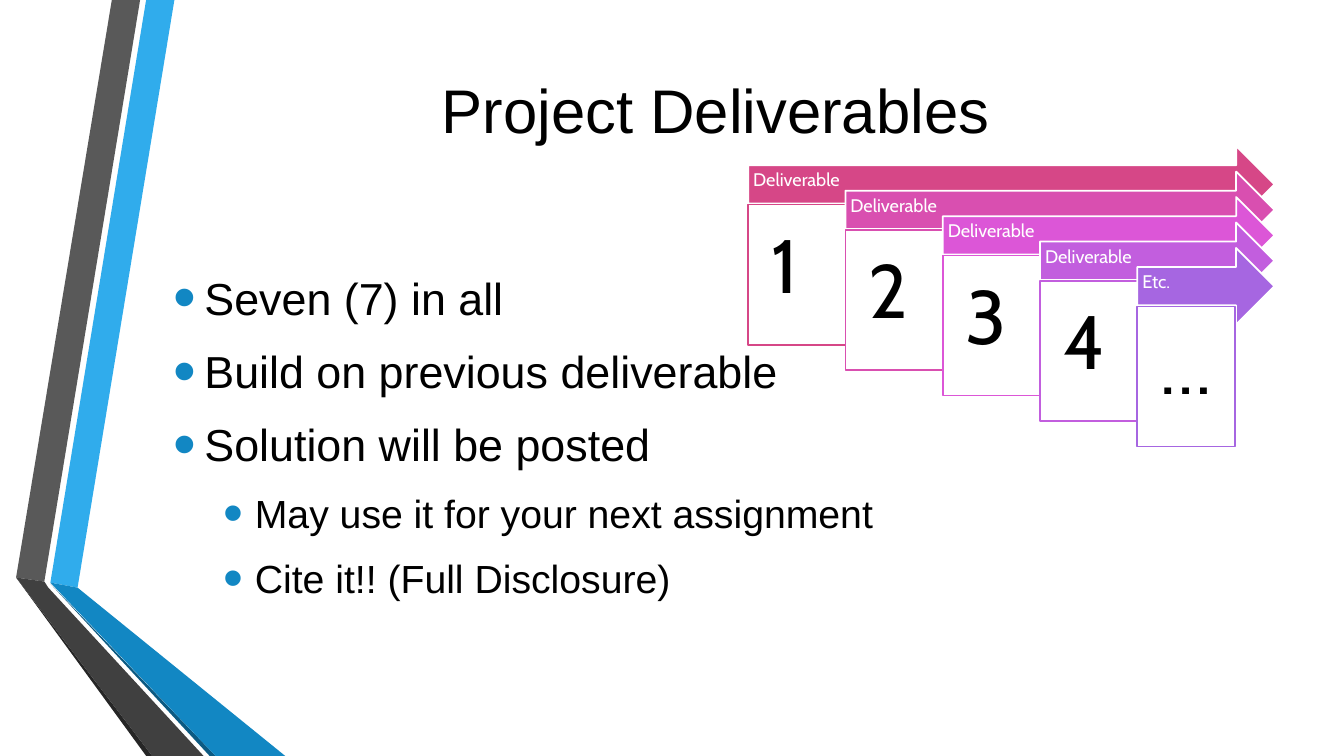
from dataclasses import dataclass

from lxml.etree import SubElement
from pptx import Presentation
from pptx.dml.color import RGBColor
from pptx.enum.shapes import MSO_SHAPE
from pptx.enum.text import MSO_ANCHOR, PP_ALIGN
from pptx.oxml.ns import qn
from pptx.util import Inches, Pt

COLORS = {
    "black": "000000", "white": "FFFFFF", "bullet": "1287C3",
    "sky": "30ACEC", "gray": "595959", "ink": "262626",
    "navy": "0C5A82", "blue": "1287C3", "charcoal": "404040",
    "rose": "D64787", "pink": "D94FB0", "magenta": "DC56D7",
    "orchid": "C25EDE", "violet": "A666E1",
}


@dataclass
class Band:
    color: str
    points: list[tuple[float, float]]


@dataclass
class Deliverable:
    label: str
    number: str
    color: str


@dataclass
class Bullet:
    text: str
    size: int
    indent: float
    before: int


BANDS = [
    Band("sky", [(0.5, 5.78), (0.77, 5.83), (1.73, 0), (1.45, 0)]),
    Band("gray", [(1.39, 0), (1.11, 0), (0.16, 5.73), (0.44, 5.77)]),
    Band("ink", [(0.16, 5.73), (1.45, 7.5), (1.51, 7.5)]),
    Band("navy", [(0.5, 5.79), (2.08, 7.5), (2.14, 7.5)]),
    Band("blue", [(0.5, 5.78), (2.14, 7.5), (2.83, 7.5), (0.77, 5.83)]),
    Band("charcoal", [(2.02, 7.5), (0.48, 5.83), (0.44, 5.77), (0.16, 5.73), (1.51, 7.5)]),
]
BULLETS = [
    Bullet("Seven (7) in all", 32, 0.31, 8),
    Bullet("Build on previous deliverable", 32, 0.31, 8),
    Bullet("Solution will be posted", 32, 0.31, 8),
    Bullet("May use it for your next assignment", 28, 0.81, 7),
    Bullet("Cite it!! (Full Disclosure)", 28, 0.81, 7),
]
DELIVERABLES = [
    Deliverable("Deliverable", "1", "rose"),
    Deliverable("Deliverable", "2", "pink"),
    Deliverable("Deliverable", "3", "magenta"),
    Deliverable("Deliverable", "4", "orchid"),
    Deliverable("Etc.", "…", "violet"),
]
ARROW_TIP = 12.64
SIDES = ("margin_left", "margin_top", "margin_right", "margin_bottom")


def rgb(name: str) -> RGBColor:
    return RGBColor.from_string(COLORS[name])


def apply(target, values: dict) -> None:
    for name, value in values.items():
        setattr(target, name, value)


def paint(sp, fill: str, line: str | None = None) -> None:
    sp.shadow.inherit = False
    sp.fill.solid()
    sp.fill.fore_color.rgb = rgb(fill)
    if line:
        sp.line.color.rgb = rgb(line)
        sp.line.width = Pt(1.25)
    else:
        sp.line.fill.background()


def write(p, text: str, size: int, font: str, color: str = "black", **layout) -> None:
    apply(p, {"alignment": PP_ALIGN.LEFT, **layout})
    r = p.add_run()
    r.text = text
    apply(r.font, {"size": Pt(size), "name": font})
    r.font.color.rgb = rgb(color)


def add_text_box(s, left: float, top: float, width: float, height: float):
    tf = s.shapes.add_textbox(*map(Inches, (left, top, width, height))).text_frame
    apply(tf, {"word_wrap": True, "vertical_anchor": MSO_ANCHOR.MIDDLE})
    return tf


def set_bullet(p, indent: float) -> None:
    pPr = p._p.get_or_add_pPr()
    pPr.set("marL", str(Inches(indent)))
    pPr.set("indent", str(Inches(-0.31)))
    color = SubElement(pPr, qn("a:buClr"))
    SubElement(color, qn("a:srgbClr"), val=COLORS["bullet"])
    SubElement(pPr, qn("a:buSzPct"), val="145000")
    SubElement(pPr, qn("a:buFont"), typeface="Arial")
    SubElement(pPr, qn("a:buChar"), char="•")


def add_band(s, band: Band) -> None:
    points = [(Inches(x), Inches(y)) for x, y in band.points]
    builder = s.shapes.build_freeform(*points[0])
    builder.add_line_segments(points[1:], close=True)
    paint(builder.convert_to_shape(), band.color)


def add_block(s, kind, box: tuple, fill: str, line: str, margins: tuple, anchor):
    sp = s.shapes.add_shape(kind, *map(Inches, box))
    paint(sp, fill, line)
    tf = sp.text_frame
    apply(tf, {"word_wrap": True, "vertical_anchor": anchor})
    apply(tf, dict(zip(SIDES, map(Inches, margins))))
    return tf.paragraphs[0]


def add_deliverable(s, index: int, item: Deliverable) -> None:
    left, top = 7.42 + 0.965 * index, 1.45 + 0.2525 * index
    p = add_block(s, MSO_SHAPE.RIGHT_ARROW, (left, top, ARROW_TIP - left, 0.76),
                  item.color, "white", (0.05, 0.05, 0.28, 0.12), MSO_ANCHOR.MIDDLE)
    write(p, item.label, 13, "Cabin", "white", line_spacing=0.9)
    p = add_block(s, MSO_SHAPE.RECTANGLE, (left, top + 0.58, 0.97, 1.39),
                  "white", item.color, (0.23,) * 4, MSO_ANCHOR.TOP)
    write(p, item.number, 54, "Cabin", line_spacing=0.9)


def main() -> None:
    prs = Presentation()
    apply(prs, {"slide_width": Inches(13.33), "slide_height": Inches(7.5)})
    s = prs.slides.add_slide(prs.slide_layouts[6])

    # Folded ribbons on the left
    for band in BANDS:
        add_band(s, band)

    # Title
    tf = add_text_box(s, 1.62, 0.52, 10.96, 1.12)
    write(tf.paragraphs[0], "Project Deliverables", 44, "Arial", alignment=PP_ALIGN.CENTER)

    # Bullet list
    tf = add_text_box(s, 1.62, 1.69, 10.96, 5.27)
    for i, item in enumerate(BULLETS):
        p = tf.add_paragraph() if i else tf.paragraphs[0]
        write(p, item.text, item.size, "Arial",
              space_before=Pt(item.before), space_after=Pt(6))
        set_bullet(p, item.indent)

    # Staircase of deliverables
    for i, item in enumerate(DELIVERABLES):
        add_deliverable(s, i, item)

    prs.save("out.pptx")


if __name__ == "__main__":
    main()
